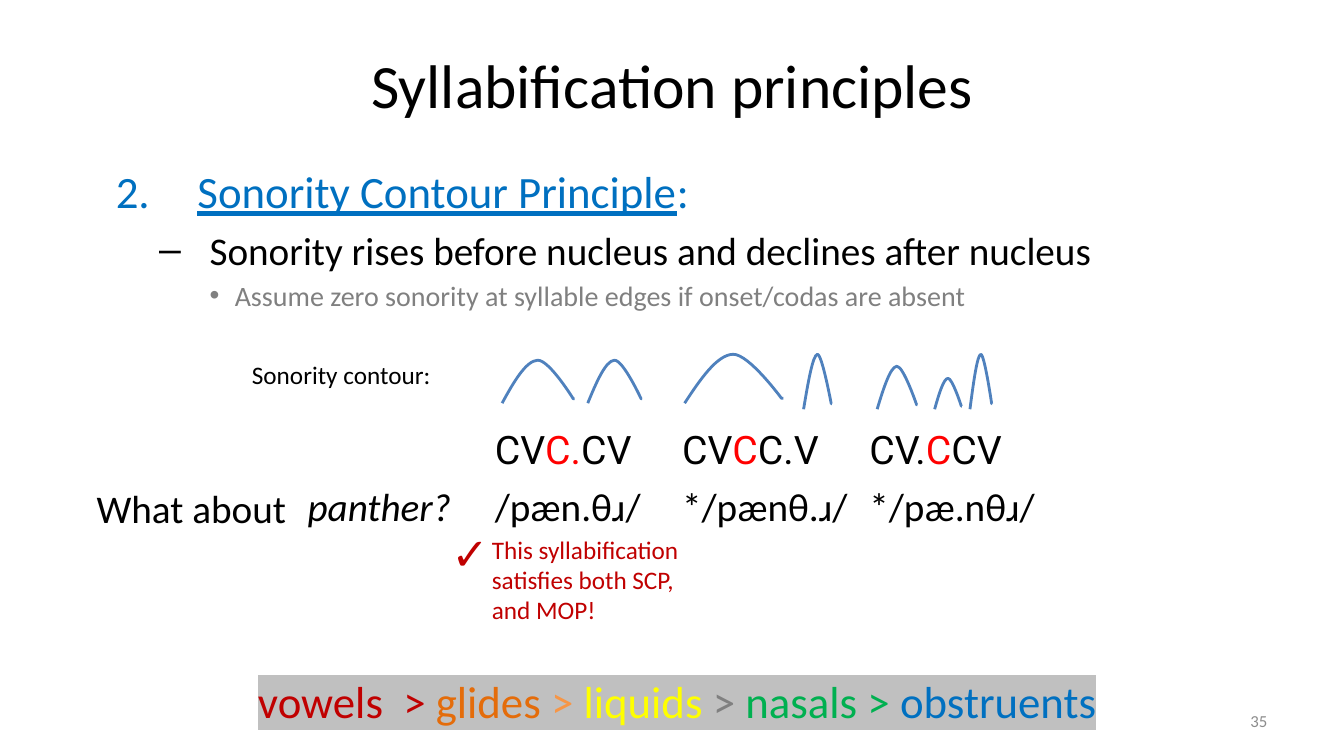
from dataclasses import dataclass
from typing import NamedTuple

from lxml.etree import SubElement, fromstring
from pptx import Presentation
from pptx.dml.color import RGBColor
from pptx.enum.text import MSO_ANCHOR as Anchor, MSO_AUTO_SIZE as Fit, PP_ALIGN as Align
from pptx.oxml.ns import qn
from pptx.util import Pt

PX = 9144  # 100 px to the inch
NS = 'xmlns:a="http://schemas.openxmlformats.org/drawingml/2006/main"'
BLACK, RED, CRIMSON, BLUE, GREY = "000000", "FF0000", "C00000", "0070C0", "808080"
MARK, CURVE = "C0C0C0", "4F81BD"


class Box(NamedTuple):
    left: int
    top: int
    width: int
    height: int

    def emu(self) -> list[int]:
        return [side * PX for side in self]


class Span(NamedTuple):
    text: str
    color: str = ""
    under: bool = False
    mark: str = ""


@dataclass
class Label:
    box: Box
    spans: list[Span]
    size: int
    color: str = BLACK
    wrap: bool = False


@dataclass
class Point:
    spans: list[Span]
    size: int
    color: str
    left: int
    hang: int
    face: str
    bullet: str


LABELS = [
    Label(Box(86, 476, 210, 57), [Span("What about")], 28),
    Label(Box(240, 352, 199, 40), [Span("Sonority contour:")], 18),
    Label(Box(478, 525, 235, 101),
          [Span("This syllabification satisfies both SCP, and MOP!")], 18, CRIMSON, True),
    Label(Box(438, 517, 54, 64), [Span("✓")], 32, CRIMSON),
    Label(Box(246, 663, 866, 64), [
        Span("vowels  > ", CRIMSON, mark=MARK), Span("glides", "E46C0A", mark=MARK),
        Span(" > ", "F79646", mark=MARK), Span("liquids", "FFFF00", mark=MARK),
        Span(" > ", GREY, mark=MARK), Span("nasals > ", "00B050", mark=MARK),
        Span("obstruents", BLUE, mark=MARK)], 32, wrap=True),
]
POINTS = [
    Point([Span("Sonority Contour Principle", under=True), Span(":")], 32, BLUE, 88, 81,
          "Calibri", '<a:buAutoNum {} type="arabicPeriod" startAt="2"/>'),
    Point([Span("Sonority rises before nucleus and declines after nucleus")],
          28, BLACK, 100, 50, "Arial", '<a:buChar {} char="–"/>'),
    Point([Span("Assume zero sonority at syllable edges if onset/codas are absent")],
          20, GREY, 125, 25, "Arial", '<a:buChar {} char="•"/>'),
]
PATTERNS = [
    [],
    [Span("CV"), Span("C.", RED), Span("CV")],
    [Span("CV"), Span("C", RED), Span("C.V")],
    [Span("CV."), Span("C", RED), Span("CV")],
]
WORDS = ["panther?", "/pæn.θɹ/", "*/pænθ.ɹ/", "*/pæ.nθɹ/"]
HUMPS = [
    Box(679, 351, 98, 49), Box(870, 363, 40, 43), Box(797, 351, 28, 55),
    Box(583, 357, 54, 43), Box(498, 357, 72, 43),
    Box(927, 375, 27, 31), Box(962, 351, 22, 55),
]
# A sonority hump as shares of its box: a start, two Bezier arcs and a short tail
HUMP = [(0, 1), (0.16, 0.51), (0.33, 0.02), (0.49, 0.01),
        (0.65, 0), (0.98, 0.9), (0.98, 0.9), (0.98, 0.9), (1, 0.9)]
ARCS = 2


def rgb(color: str) -> RGBColor:
    return RGBColor.from_string(color)


def write(para, spans: list[Span], size: int, color: str = BLACK, face: str = "Calibri") -> None:
    font = para.font
    font.size, font.name = Pt(size), face
    font.color.rgb = rgb(color)
    for span in spans:
        run = para.add_run()
        run.text = span.text
        if span.color:
            run.font.color.rgb = rgb(span.color)
        if span.under:
            run.font.underline = True
        if span.mark:
            light = SubElement(run.font._element, qn("a:highlight"))
            SubElement(light, qn("a:srgbClr"), val=span.mark)


def add_label(slide, label: Label):
    frame = slide.shapes.add_textbox(*label.box.emu()).text_frame
    frame.word_wrap = label.wrap
    frame.auto_size = Fit.SHAPE_TO_FIT_TEXT
    write(frame.paragraphs[0], label.spans, label.size, label.color)
    return frame


def add_points(slide, box: Box, points: list[Point]) -> None:
    frame = slide.shapes.add_textbox(*box.emu()).text_frame
    frame.word_wrap = True
    for i, point in enumerate(points):
        para = frame.add_paragraph() if i else frame.paragraphs[0]
        props = para._p.get_or_add_pPr()
        props.set("marL", str(point.left * PX))
        props.set("indent", str(-point.hang * PX))
        props.append(fromstring(f'<a:spcBef {NS}><a:spcPct val="20000"/></a:spcBef>'))
        SubElement(props, qn("a:buFont"), typeface=point.face)
        props.append(fromstring(point.bullet.format(NS)))
        write(para, point.spans, point.size, point.color)


def add_grid(slide, box: Box, pitch: int) -> None:
    rows = [PATTERNS, [[Span(word)] for word in WORDS]]
    table = slide.shapes.add_table(len(rows), len(WORDS), *box.emu()).table
    table.first_row = table.horz_banding = False
    for r, (row, face) in enumerate(zip(rows, ["Roboto", "Calibri"])):
        table.rows[r].height = pitch * PX
        for c, spans in enumerate(row):
            cell = table.cell(r, c)
            cell.fill.background()
            para = cell.text_frame.paragraphs[0]
            write(para, spans, 28, face=face)
            if (r, c) == (1, 0):
                para.font.italic = True


def add_hump(slide, box: Box) -> None:
    left, top, width, height = box.emu()
    spots = [(round(left + x * width), round(top + y * height)) for x, y in HUMP]
    outline = slide.shapes.build_freeform(*spots[0])
    outline.add_line_segments(spots[1:], close=False)
    hump = outline.convert_to_shape()
    lines = list(hump._element.iter(qn("a:lnTo")))
    for arc in range(ARCS):
        first, *rest = lines[3 * arc:3 * arc + 3]
        first.tag = qn("a:cubicBezTo")
        for line in rest:
            first.append(line[0])
            line.getparent().remove(line)
    hump.shadow.inherit = False
    hump.fill.background()
    hump.line.color.rgb = rgb(CURVE)
    hump.line.width = Pt(2)


def main() -> None:
    deck = Presentation()
    deck.slide_width, deck.slide_height = 1333 * PX, 750 * PX
    slide = deck.slides.add_slide(deck.slide_layouts[5])

    title = slide.shapes.title
    title.left, title.top, title.width, title.height = Box(67, 30, 1200, 106).emu()
    title.text_frame.vertical_anchor = Anchor.MIDDLE
    head = title.text_frame.paragraphs[0]
    head.alignment = Align.CENTER
    write(head, [Span("Syllabification principles")], 44)

    add_grid(slide, Box(295, 420, 743, 113), 41)
    add_points(slide, Box(98, 158, 1138, 574), POINTS)
    for box in HUMPS:
        add_hump(slide, box)
    for label in LABELS:
        add_label(slide, label)

    number = add_label(slide, Label(Box(956, 695, 311, 40), [Span("35")], 12, "8C8C8C", True))
    number.auto_size = Fit.NONE
    number.vertical_anchor = Anchor.MIDDLE
    number.paragraphs[0].alignment = Align.RIGHT
    deck.save("out.pptx")


if __name__ == "__main__":
    main()
